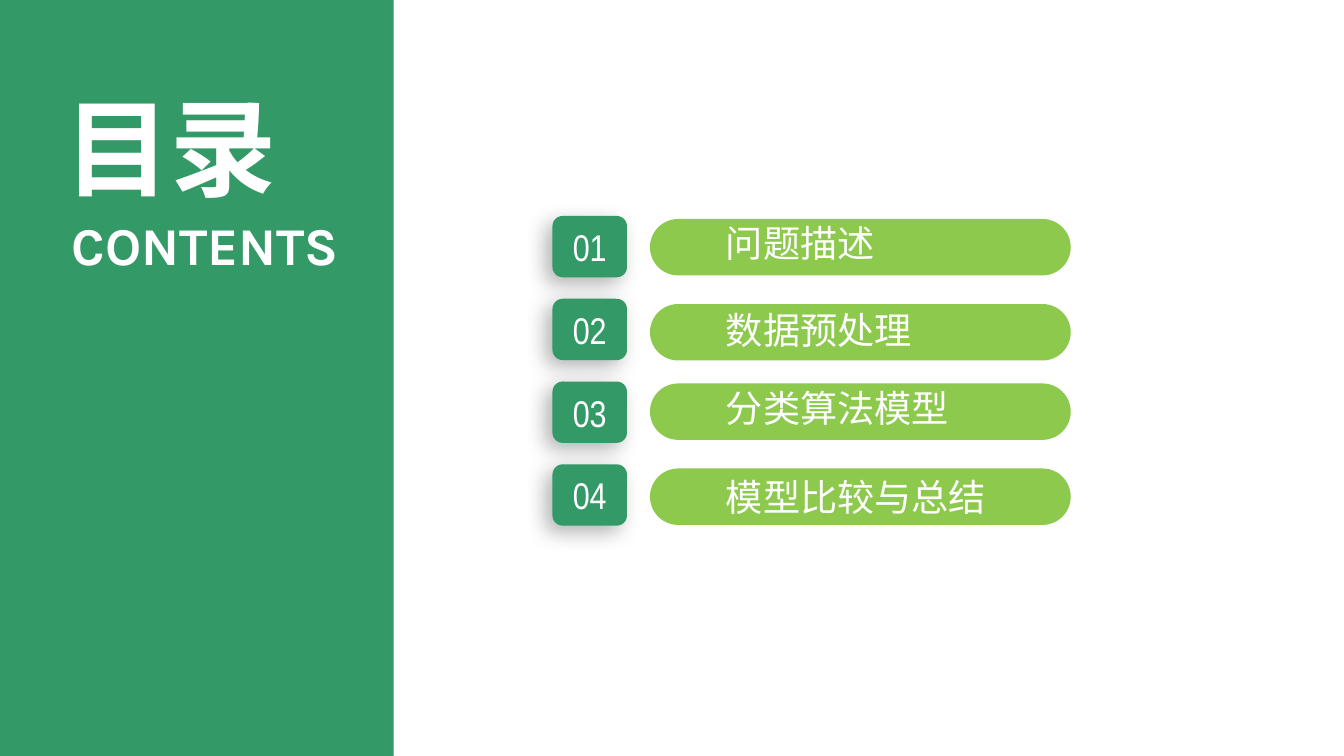
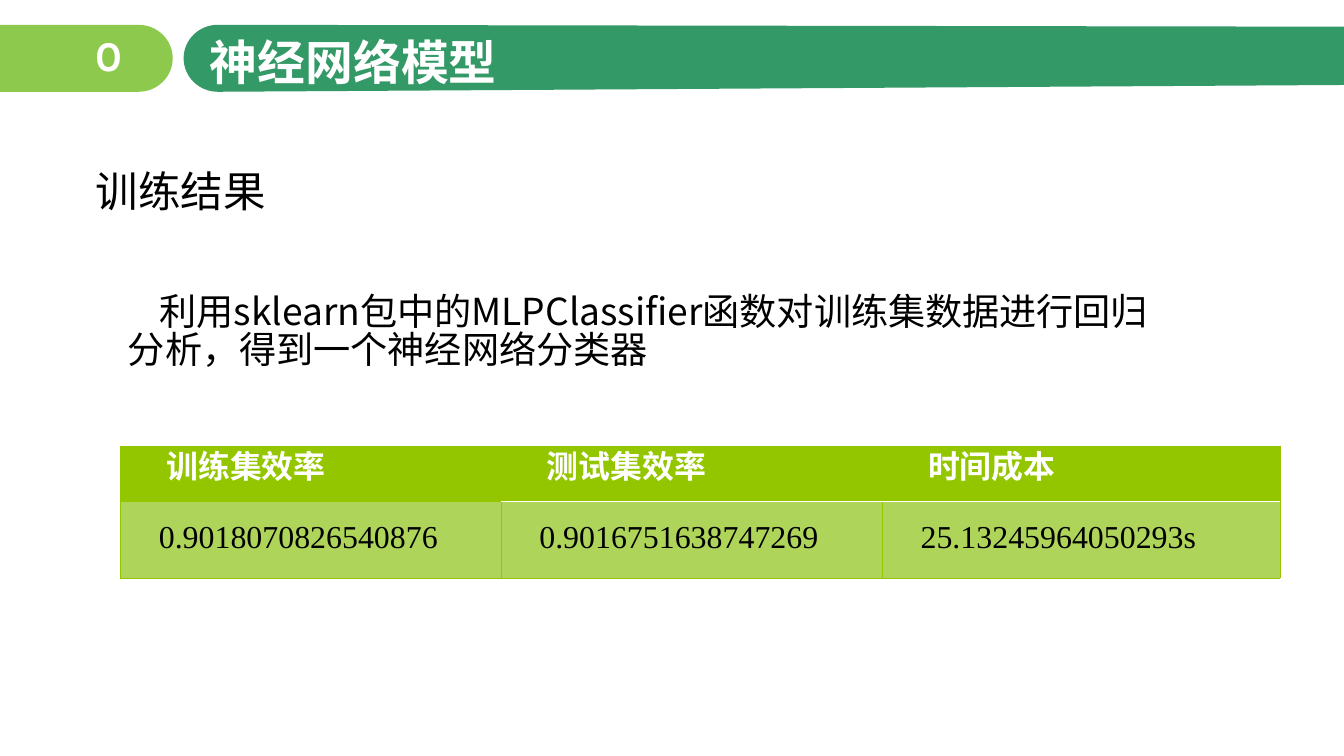
import math

import lxml.etree
import pptx
import pptx.dml.color
import pptx.enum.shapes
import pptx.enum.text
import pptx.oxml.ns
import pptx.util

Cm = pptx.util.Cm
Pt = pptx.util.Pt
SHAPE = pptx.enum.shapes.MSO_SHAPE
ALIGN = pptx.enum.text.PP_ALIGN
ANCHOR = pptx.enum.text.MSO_ANCHOR
qn = pptx.oxml.ns.qn

GREEN, LIME, WHITE, BLACK = "339966", "8CC94C", "FFFFFF", "000000"
TABLE_HEAD, TABLE_BODY = "94C600", "AED55A"
CJK, KARLA, CALIBRI = "Noto Sans CJK SC", "Karla", "Calibri"

HEADING = {"name": KARLA, "size": Pt(36), "bold": True}
NUMBER = {"name": KARLA, "size": Pt(32), "bold": True}
SUBHEAD = {"name": CALIBRI, "size": Pt(32)}
BODY = {"name": CJK, "size": Pt(28)}
BADGE = {"name": "Arial Narrow", "size": Pt(28)}
CONTENTS = {"name": KARLA, "size": Pt(40), "bold": True}
CONTENTS_CJK = {"name": CJK, "size": Pt(80), "bold": True}
CELL_HEAD = {"name": CALIBRI, "size": Pt(24), "bold": True}
CELL_BODY = {"name": "Times New Roman", "size": Pt(24), "bold": False}


def rgb(value):
    """Turn a hex string into a colour."""
    return pptx.dml.color.RGBColor.from_string(value)


def child(parent, tag, **attrs):
    """Append an XML element with attributes."""
    el = lxml.etree.SubElement(parent, qn(tag))
    for key, value in attrs.items():
        el.set(key, str(value))
    return el


def write(tf, text, font, color, indent=0, **para):
    """Write one formatted paragraph into a text frame."""
    p = tf.paragraphs[0]
    for key, value in para.items():
        setattr(p, key, value)
    if indent:
        p._p.get_or_add_pPr().set("indent", str(Cm(indent)))
    r = p.add_run()
    r.text = text
    for key, value in font.items():
        setattr(r.font, key, value)
    r.font.color.rgb = rgb(color)
    child(r._r.get_or_add_rPr(), "a:ea", typeface=font["name"])


def add_text(s, box, text, font, color=WHITE, wrap=True, anchor=ANCHOR.TOP, **para):
    """Add a text box."""
    tf = s.shapes.add_textbox(*map(Cm, box)).text_frame
    tf.word_wrap = wrap
    tf.auto_size = pptx.enum.text.MSO_AUTO_SIZE.SHAPE_TO_FIT_TEXT
    tf.vertical_anchor = anchor
    write(tf, text, font, color, **para)


def paint(sp, color):
    """Give a shape a flat fill with no line or shadow."""
    sp.shadow.inherit = False
    sp.fill.solid()
    sp.fill.fore_color.rgb = rgb(color)
    sp.line.fill.background()
    return sp


def add_shape(s, kind, box, color):
    """Add a flat preset shape."""
    return paint(s.shapes.add_shape(kind, *map(Cm, box)), color)


def add_badge(s, box, text):
    """Add a numbered badge with a soft shadow."""
    sp = add_shape(s, SHAPE.ROUNDED_RECTANGLE, box, GREEN)
    effects = sp._element.spPr.find(qn("a:effectLst"))
    shadow = child(effects, "a:outerShdw", blurRad=Pt(16), dist=Pt(7),
                   dir=135 * 60000, algn="tr", rotWithShape=0)
    child(child(shadow, "a:srgbClr", val=BLACK), "a:alpha", val=30000)
    sp.text_frame.vertical_anchor = ANCHOR.MIDDLE
    write(sp.text_frame, text, BADGE, WHITE, alignment=ALIGN.CENTER)


def add_band(s, cap_x, edge_x, edge_top, edge_bottom, color):
    """Add a band with one rounded end and one straight end."""
    rx, ry, cy, steps = 0.91, 0.89, 1.55, 32
    side = 1 if cap_x > edge_x else -1
    angles = [math.pi * (i / steps - 0.5) for i in range(steps + 1)]
    cap = [(cap_x + side * rx * math.cos(a), cy + ry * math.sin(a)) for a in angles]
    points = [(edge_x, edge_top)] + cap + [(edge_x, edge_bottom)]
    points = [(Cm(x), Cm(y)) for x, y in points]
    fb = s.shapes.build_freeform(*points[0])
    fb.add_line_segments(points[1:], close=True)
    paint(fb.convert_to_shape(), color)


def add_header(s, number, title):
    """Add the section number and title bands."""
    add_band(s, 3.68, 0, 0.66, 2.44, LIME)
    add_text(s, (2.29, 0.66, 1.85, 1.63), number, NUMBER, wrap=False)
    add_band(s, 5.79, 35.71, 0.71, 2.26, GREEN)
    add_text(s, (5.33, 0.74, 8.2, 1.8), title, HEADING, wrap=False)


def set_borders(cell, top, bottom):
    """Draw the four borders of a cell."""
    sides = {"L": TABLE_HEAD, "R": TABLE_HEAD, "T": top, "B": bottom}
    for side, color in sides.items():
        ln = child(cell._tc.get_or_add_tcPr(), "a:ln" + side, w=Pt(0.5))
        child(child(ln, "a:solidFill"), "a:srgbClr", val=color)


def add_results(s, box, widths, heights, rows):
    """Add the results table."""
    t = s.shapes.add_table(len(rows), len(widths), *map(Cm, box)).table
    t.horz_banding = False
    for col, width in zip(t.columns, widths):
        col.width = Cm(width)
    for row, height in zip(t.rows, heights):
        row.height = Cm(height)
    head = {"margin_left": Cm(0.38), "margin_right": Cm(0.38),
            "margin_top": Cm(0.38), "margin_bottom": Cm(0.38)}
    body = {"margin_left": Cm(0.18), "margin_right": Cm(0.18),
            "margin_top": Cm(0.71), "margin_bottom": Cm(0)}
    styles = [(head, CELL_HEAD, WHITE, TABLE_HEAD), (body, CELL_BODY, BLACK, TABLE_BODY)]
    for i, (texts, (margins, font, color, fill)) in enumerate(zip(rows, styles)):
        for j, text in enumerate(texts):
            cell = t.cell(i, j)
            for key, value in margins.items():
                setattr(cell, key, value)
            middle = WHITE if j else TABLE_HEAD
            set_borders(cell, *((TABLE_HEAD, middle) if i == 0 else (middle, TABLE_HEAD)))
            cell.fill.solid()
            cell.fill.fore_color.rgb = rgb(fill)
            write(cell.text_frame, text, font, color, indent=0.84,
                  alignment=ALIGN.JUSTIFY, line_spacing=Pt(20))


def build_contents(s):
    """Build the contents slide."""
    add_shape(s, SHAPE.RECTANGLE, (0, 0, 10.46, 20.09), GREEN)
    add_text(s, (1.47, 1.9, 6.68, 4.01), "目录", CONTENTS_CJK, line_spacing=1.05)
    add_text(s, (1.65, 5.18, 7.72, 2.13), "CONTENTS", CONTENTS, line_spacing=1.2)
    items = [("问题描述", 5.82, 5.66), ("数据预处理", 8.08, 7.98),
             ("分类算法模型", 10.19, 10.06), ("模型比较与总结", 12.45, 12.42)]
    for i, (label, pill_y, text_y) in enumerate(items):
        pill = add_shape(s, SHAPE.ROUNDED_RECTANGLE, (17.27, pill_y, 11.18, 1.5), LIME)
        pill.adjustments[0] = 0.5
        add_text(s, (19.04, text_y, 8, 1.7), label, BODY, line_spacing=1.05)
        add_badge(s, (14.68, 5.74 + 2.2 * i, 1.98, 1.63), f"{i + 1:02d}")


def build_results(s):
    """Build the training results slide."""
    add_header(s, "03", "神经网络模型")
    add_text(s, (2.29, 4.27, 5.08, 1.63), "训练结果", SUBHEAD, BLACK, wrap=False)
    add_results(s, (3.2, 11.86, 30.81, 3.5), (10.11, 10.13, 10.57), (1.47, 2.03),
                [("训练集效率", "测试集效率", "时间成本"),
                 ("0.9018070826540876", "0.9016751638747269", "25.13245964050293s")])
    add_text(s, (3.15, 7.54, 28.12, 2.64),
             "利用sklearn包中的MLPClassifier函数对训练集数据进行回归分析，得到一个神经网络分类器",
             BODY, BLACK, anchor=ANCHOR.MIDDLE, indent=0.84, line_spacing=0.85)


def main():
    """Build and save the presentation."""
    prs = pptx.Presentation()
    prs.slide_width, prs.slide_height = Cm(35.71), Cm(20.09)
    for build in (build_contents, build_results):
        build(prs.slides.add_slide(prs.slide_layouts[6]))
    prs.save("out.pptx")


if __name__ == "__main__":
    main()
